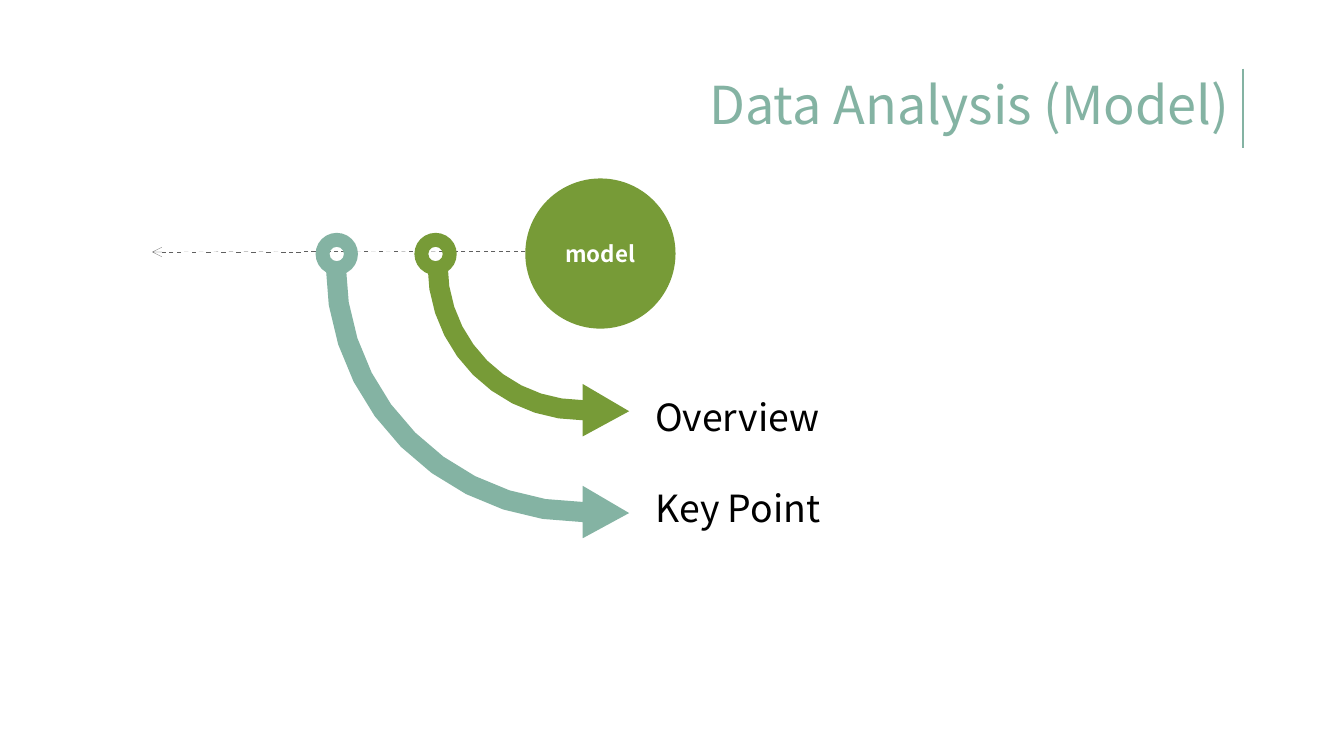
from dataclasses import dataclass
from math import cos, pi, sin

from lxml import etree
from pptx import Presentation
from pptx.dml.color import RGBColor
from pptx.enum.dml import MSO_LINE
from pptx.enum.shapes import MSO_CONNECTOR, MSO_SHAPE
from pptx.enum.text import MSO_ANCHOR, PP_ALIGN
from pptx.oxml.ns import qn
from pptx.shapes.base import BaseShape
from pptx.shapes.connector import Connector
from pptx.slide import Slide
from pptx.util import Inches, Length, Pt

STRAIGHT = MSO_CONNECTOR.STRAIGHT
ELLIPSE, DONUT = MSO_SHAPE.OVAL, MSO_SHAPE.DONUT
DASH = MSO_LINE.DASH
LEFT, CENTER, RIGHT = PP_ALIGN.LEFT, PP_ALIGN.CENTER, PP_ALIGN.RIGHT
TOP, MIDDLE = MSO_ANCHOR.TOP, MSO_ANCHOR.MIDDLE

GREEN = RGBColor(0x77, 0x9B, 0x37)
TEAL = RGBColor(0x84, 0xB3, 0xA3)
GRAY = RGBColor(0x5F, 0x5F, 0x5F)
BLACK = RGBColor(0, 0, 0)
WHITE = RGBColor(0xFF, 0xFF, 0xFF)
FONT = "Noto Sans CJK SC"

# The grid has square cells one inch wide
COLUMNS, ROWS = 13.33, 7.5

# Both arrows bend around one centre
ARC_COLUMN, ARC_ROW = 5.78, 2.63
BAND = 0.2
HEAD_LENGTH, HEAD_WIDTH = 0.46, 0.52
ARC_STEPS = 10
RING_SIZE, RING_ROW = 0.42, 2.31


@dataclass(frozen=True)
class Branch:
    label: str
    color: RGBColor
    radius: float
    ring_column: float
    label_row: float


BRANCHES = (
    Branch("Overview", GREEN, 1.44, 4.11, 3.86),
    Branch("Key Point", TEAL, 2.45, 3.13, 4.76),
)


def cells(count: float) -> Length:
    return Inches(count)


def paint(shape: BaseShape, color: RGBColor) -> None:
    shape.shadow.inherit = False
    shape.fill.solid()
    shape.fill.fore_color.rgb = color
    shape.line.fill.background()


def write(shape: BaseShape, text: str, size: float, color: RGBColor,
          alignment: PP_ALIGN = LEFT, anchor: MSO_ANCHOR = TOP,
          bold: bool = False) -> None:
    frame = shape.text_frame
    frame.text = text
    frame.word_wrap = True
    frame.vertical_anchor = anchor
    paragraph = frame.paragraphs[0]
    paragraph.alignment = alignment
    font = paragraph.runs[0].font
    font.name, font.size, font.bold = FONT, Pt(size), bold
    font.color.rgb = color


def add_text(slide: Slide, column: float, row: float, width: float,
             height: float) -> BaseShape:
    return slide.shapes.add_textbox(
        cells(column), cells(row), cells(width), cells(height))


def add_line(slide: Slide, start: tuple[float, float],
             end: tuple[float, float], color: RGBColor) -> Connector:
    line = slide.shapes.add_connector(
        STRAIGHT, *(cells(place) for place in start + end))
    line.line.color.rgb = color
    etree.SubElement(line._element.spPr, qn("a:effectLst"))
    return line


def arc_points(radius: float, start: float,
               end: float) -> list[tuple[float, float]]:
    angles = (start + (end - start) * step / ARC_STEPS
              for step in range(ARC_STEPS + 1))
    return [(ARC_COLUMN + radius * cos(angle), ARC_ROW + radius * sin(angle))
            for angle in angles]


def add_curved_arrow(slide: Slide, branch: Branch) -> None:
    middle = ARC_ROW + branch.radius
    head = [
        (ARC_COLUMN, middle - HEAD_WIDTH / 2),
        (ARC_COLUMN + HEAD_LENGTH, middle + 0.01),
        (ARC_COLUMN, middle + HEAD_WIDTH / 2),
    ]
    outline = (arc_points(branch.radius + BAND / 2, pi / 2, pi)
               + arc_points(branch.radius - BAND / 2, pi, pi / 2) + head)
    points = [(cells(column), cells(row)) for column, row in outline]
    builder = slide.shapes.build_freeform(*points[0])
    builder.add_line_segments(points[1:], close=True)
    paint(builder.convert_to_shape(), branch.color)


def add_ring(slide: Slide, branch: Branch) -> None:
    ring = slide.shapes.add_shape(
        DONUT, cells(branch.ring_column), cells(RING_ROW),
        cells(RING_SIZE), cells(RING_SIZE))
    ring.adjustments[0] = 0.33
    paint(ring, branch.color)


def main() -> None:
    presentation = Presentation()
    presentation.slide_width = cells(COLUMNS)
    presentation.slide_height = cells(ROWS)
    slide = presentation.slides.add_slide(presentation.slide_layouts[6])

    # Title and its rule
    title = add_text(slide, 6.24, 0.74, 6.05, 0.67)
    write(title, "Data Analysis (Model)", 37.3, TEAL, RIGHT)
    title.text_frame.paragraphs[0].line_spacing = 0.9
    rule = add_line(slide, (12.33, 0.68), (12.33, 1.47), TEAL)
    rule.line.width = Pt(1.5)

    # Model circle and dashed hairline axis
    circle = slide.shapes.add_shape(
        ELLIPSE, cells(5.21), cells(1.77), cells(1.49), cells(1.49))
    paint(circle, GREEN)
    write(circle, "model", 16, WHITE, CENTER, MIDDLE, bold=True)
    axis = add_line(slide, (5.21, 2.49), (1.51, 2.5), GRAY)
    axis.line.dash_style = DASH
    outline = axis.line._get_or_add_ln()
    outline.set("w", "0")
    etree.SubElement(outline, qn("a:tailEnd"), type="arrow")

    # Branches with their labels, then the rings on top
    for branch in BRANCHES:
        add_curved_arrow(slide, branch)
    for branch in BRANCHES:
        label = add_text(slide, 6.4, branch.label_row, 6.67, 0.55)
        write(label, branch.label, 26.7, BLACK)
    for branch in BRANCHES:
        add_ring(slide, branch)

    presentation.save("out.pptx")


if __name__ == "__main__":
    main()
